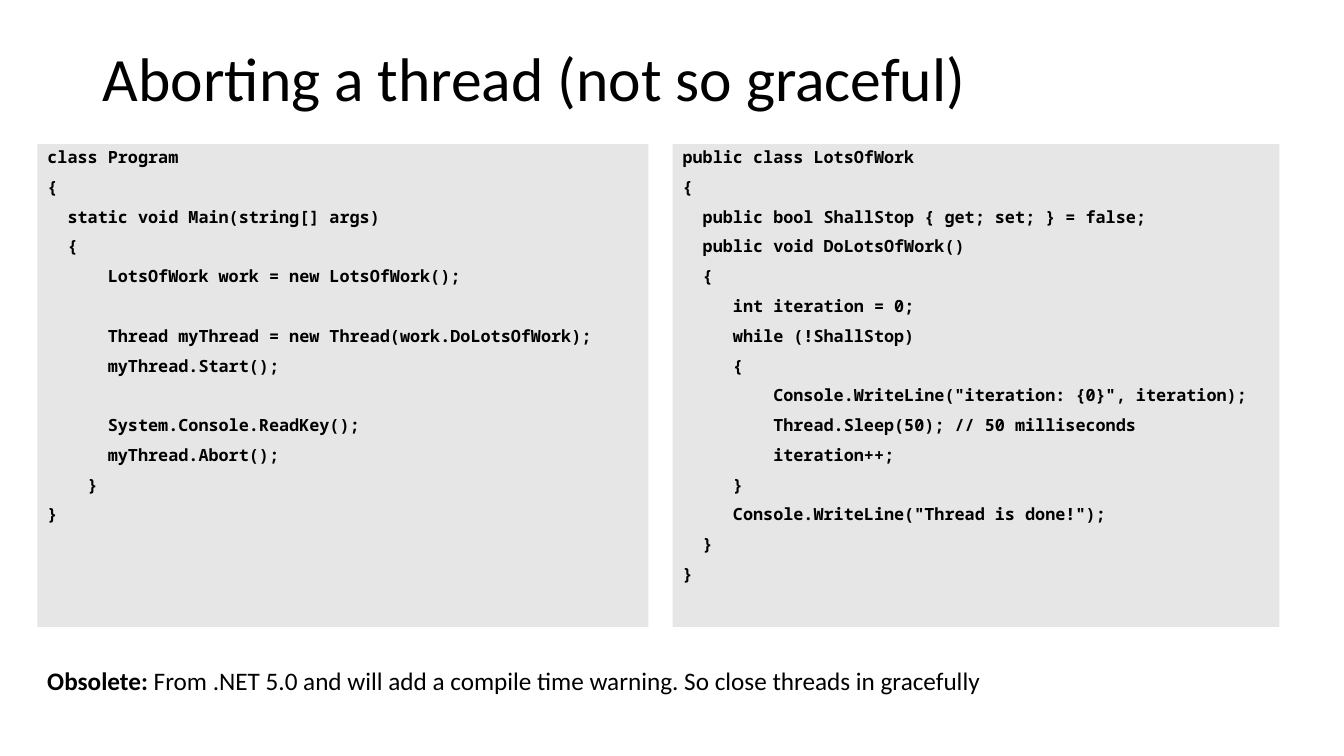
import pptx
import pptx.dml.color
import pptx.enum.text
import pptx.oxml.ns
import pptx.util

BLACK = pptx.dml.color.RGBColor(0x00, 0x00, 0x00)
PANEL_GREY = pptx.dml.color.RGBColor(0xE7, 0xE6, 0xE6)
TEXT_FONT = "Calibri"
CODE_FONT = "Noto Sans Mono"

# Boxes are left, top, width, height in inches.
TITLE_BOX = (0.92, 0.4, 11.5, 0.81)
PROGRAM_BOX = (0.37, 1.43, 6.06, 4.79)
WORK_BOX = (6.67, 1.43, 6.02, 4.79)
NOTE_BOX = (0.37, 6.39, 12.31, 0.73)

PROGRAM_CODE = """\
class Program
{
  static void Main(string[] args)
  {
      LotsOfWork work = new LotsOfWork();

      Thread myThread = new Thread(work.DoLotsOfWork);
      myThread.Start();

      System.Console.ReadKey();
      myThread.Abort();
    }
}"""

WORK_CODE = """\
public class LotsOfWork
{
  public bool ShallStop { get; set; } = false;
  public void DoLotsOfWork()
  {
     int iteration = 0;
     while (!ShallStop)
     {
         Console.WriteLine("iteration: {0}", iteration);
         Thread.Sleep(50); // 50 milliseconds
         iteration++;
     }
     Console.WriteLine("Thread is done!");
  }
}"""


def place(shape, box, anchor):
    """Move a text shape to its box and fix its wrapping and anchor."""
    shape.left, shape.top, shape.width, shape.height = map(pptx.util.Inches, box)
    frame = shape.text_frame
    frame.word_wrap = True
    frame.auto_size = pptx.enum.text.MSO_AUTO_SIZE.NONE
    frame.vertical_anchor = anchor
    return frame


def set_font(font, name, size, bold=None):
    font.name = name
    font.size = pptx.util.Pt(size)
    font.bold = bold
    font.color.rgb = BLACK


def fill_title(title, box, text):
    frame = place(title, box, pptx.enum.text.MSO_ANCHOR.MIDDLE)
    frame.text = text
    para = frame.paragraphs[0]
    para.alignment = pptx.enum.text.PP_ALIGN.LEFT
    para.line_spacing = 0.9
    set_font(para.font, TEXT_FONT, 44)


def fill_code_panel(panel, box, code):
    panel.fill.solid()
    panel.fill.fore_color.rgb = PANEL_GREY
    frame = place(panel, box, pptx.enum.text.MSO_ANCHOR.TOP)
    frame.text = code
    for number, para in enumerate(frame.paragraphs):
        para.line_spacing = 0.9
        para.space_before = pptx.util.Pt(8.3 if number else 0)
        properties = para._p.get_or_add_pPr()
        properties.set("marL", "0")
        properties.set("indent", "0")
        properties.append(pptx.oxml.parse_xml(
            "<a:buNone %s/>" % pptx.oxml.ns.nsdecls("a")))
        set_font(para.font, CODE_FONT, 12, True)


def add_note(page, box, label, text):
    note = page.shapes.add_textbox(*map(pptx.util.Inches, box))
    para = place(note, box, pptx.enum.text.MSO_ANCHOR.MIDDLE).paragraphs[0]
    set_font(para.font, TEXT_FONT, 18)
    span = para.add_run()
    span.text = label
    span.font.bold = True
    para.add_run().text = text


def main():
    deck = pptx.Presentation()
    deck.slide_width = pptx.util.Inches(13.33)
    deck.slide_height = pptx.util.Inches(7.5)
    two_content = deck.slide_layouts[3]
    page = deck.slides.add_slide(two_content)
    title, program, work = page.placeholders
    fill_title(title, TITLE_BOX, "Aborting a thread (not so graceful)")
    fill_code_panel(program, PROGRAM_BOX, PROGRAM_CODE)
    fill_code_panel(work, WORK_BOX, WORK_CODE)
    add_note(page, NOTE_BOX, "Obsolete:",
             " From .NET 5.0 and will add a compile time warning."
             " So close threads in gracefully")
    deck.save("out.pptx")


if __name__ == "__main__":
    main()
